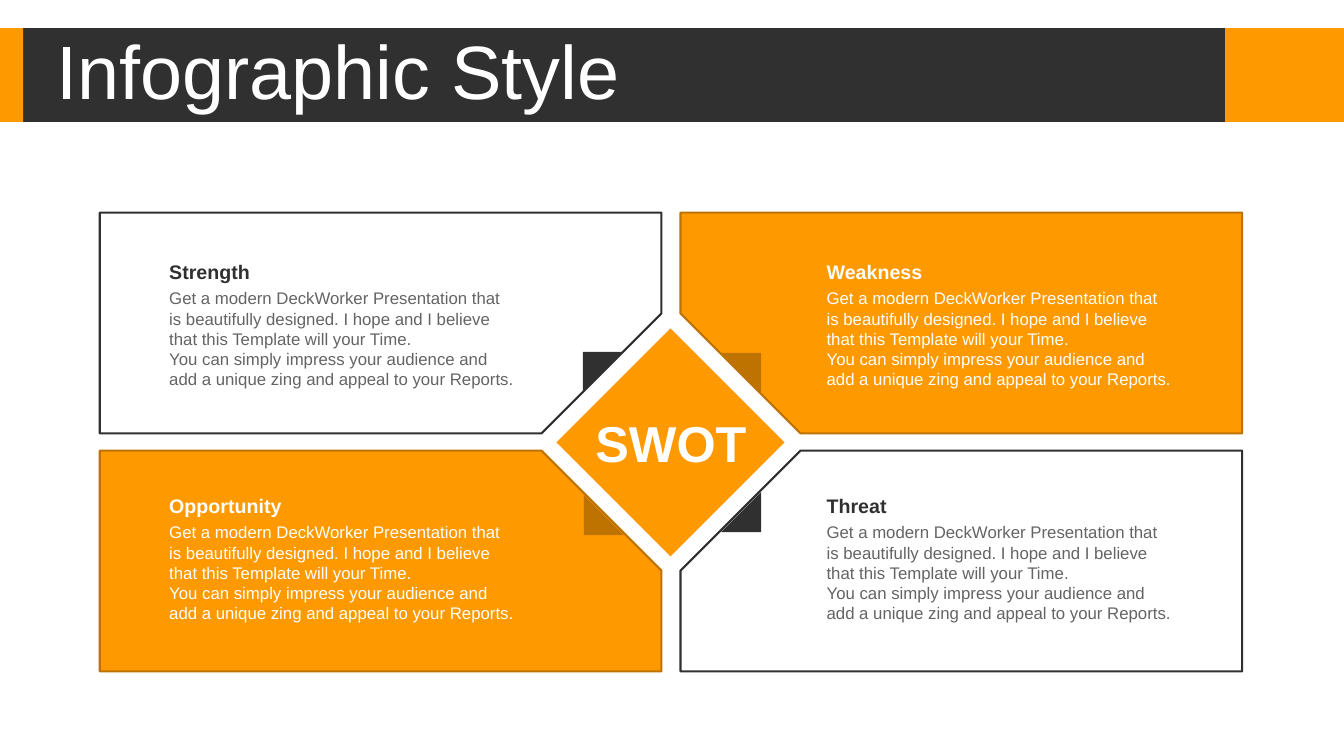
from pptx import Presentation
from pptx.dml.color import RGBColor
from pptx.enum.shapes import MSO_SHAPE
from pptx.enum.text import MSO_ANCHOR, MSO_AUTO_SIZE, PP_ALIGN
from pptx.util import Inches, Pt

HUES = {"gold": "FE9900", "dark": "303030", "rust": "BE7300",
        "gray": "646464", "white": "FFFFFF"}
BODY = ("Get a modern DeckWorker Presentation that is beautifully designed. "
        "I hope and I believe that this Template will your Time.",
        "You can simply impress your audience and add a unique zing and "
        "appeal to your Reports.")
EDGE = ((0, 0), (5.57, 0), (5.57, 1), (4.38, 2.19), (0, 2.19))


def color(name):
    return RGBColor.from_string(HUES[name])


def write(frame, *lines, size=12, hue="white", bold=False,
          align=PP_ALIGN.LEFT, anchor=MSO_ANCHOR.TOP, space=1.0,
          fit=MSO_AUTO_SIZE.SHAPE_TO_FIT_TEXT):
    frame.word_wrap = True
    frame.auto_size = fit
    frame.vertical_anchor = anchor
    for i, line in enumerate(lines):
        para = frame.add_paragraph() if i else frame.paragraphs[0]
        para.text = line
        para.alignment = align
        para.line_spacing = space
        font = para.font
        font.name, font.size, font.bold = "Arial", Pt(size), bold
        font.color.rgb = color(hue)


class Deck:
    def __init__(self):
        self.show = Presentation()
        self.show.slide_width = Inches(13.33)
        self.show.slide_height = Inches(7.5)
        self.slide = self.show.slides.add_slide(self.show.slide_layouts[5])
        self.shapes = self.slide.shapes

    def title(self, text, x, y, w, h):
        box = self.shapes.title
        box.left, box.top, box.width, box.height = map(Inches, (x, y, w, h))
        write(box.text_frame, text, size=54, anchor=MSO_ANCHOR.MIDDLE,
              space=0.9, fit=MSO_AUTO_SIZE.NONE)
        box.element.getparent().append(box.element)

    def block(self, x, y, w, h, hue, kind=MSO_SHAPE.RECTANGLE, turn=0):
        shape = self.shapes.add_shape(kind, *map(Inches, (x, y, w, h)))
        shape.shadow.inherit = False
        shape.fill.solid()
        shape.fill.fore_color.rgb = color(hue)
        shape.line.fill.background()
        shape.rotation = turn

    def panel(self, x, y, across, down, full):
        dots = [(Inches(x + across * a), Inches(y + down * b))
                for a, b in EDGE]
        pen = self.shapes.build_freeform(*dots[0])
        pen.add_line_segments(dots[1:], close=True)
        shape = pen.convert_to_shape()
        shape.shadow.inherit = False
        if full:
            shape.fill.solid()
            shape.fill.fore_color.rgb = color("gold")
        else:
            shape.fill.background()
        shape.line.color.rgb = color("rust" if full else "dark")
        shape.line.width = Pt(1.5)

    def text(self, x, y, w, h, *lines, **style):
        box = self.shapes.add_textbox(*map(Inches, (x, y, w, h)))
        write(box.text_frame, *lines, **style)


def main():
    deck = Deck()
    for x, w, hue in ((12.15, 1.18, "gold"), (0, 12.15, "dark"),
                      (0, 0.23, "gold")):
        deck.block(x, 0.28, w, 0.93, hue)
    deck.title("Infographic Style", 0.46, 0.35, 9.7, 0.79)

    parts = (("Strength", 0, 0, False), ("Weakness", 1, 0, True),
             ("Opportunity", 0, 1, True), ("Threat", 1, 1, False))
    for name, col, row, full in parts:
        deck.panel((0.99, 12.32)[col], (2.11, 6.66)[row],
                   1 - 2 * col, 1 - 2 * row, full)

    deck.block(5.85, 3.59, 1.6, 1.6, "gold", turn=45)
    for x, y, hue, turn in ((7.15, 3.5, "rust", 180), (7.15, 4.88, "dark", 270),
                            (5.79, 4.91, "rust", 0), (5.78, 3.49, "dark", 90)):
        deck.block(x, y, 0.4, 0.4, hue, MSO_SHAPE.RIGHT_TRIANGLE, turn)

    for name, col, row, full in parts:
        x, y = 1.58 + 6.52 * col, 2.53 + 2.32 * row
        deck.text(x, y + 0.28, 3.62, 1.11, *BODY,
                  hue="white" if full else "gray")
        deck.text(x, y, 3.62, 0.34, name, size=14, bold=True,
                  hue="white" if full else "dark", anchor=MSO_ANCHOR.MIDDLE)

    deck.text(5.78, 4.03, 1.75, 0.71, "SWOT", size=36, bold=True,
              align=PP_ALIGN.CENTER, anchor=MSO_ANCHOR.MIDDLE)
    deck.show.save("out.pptx")


if __name__ == "__main__":
    main()
